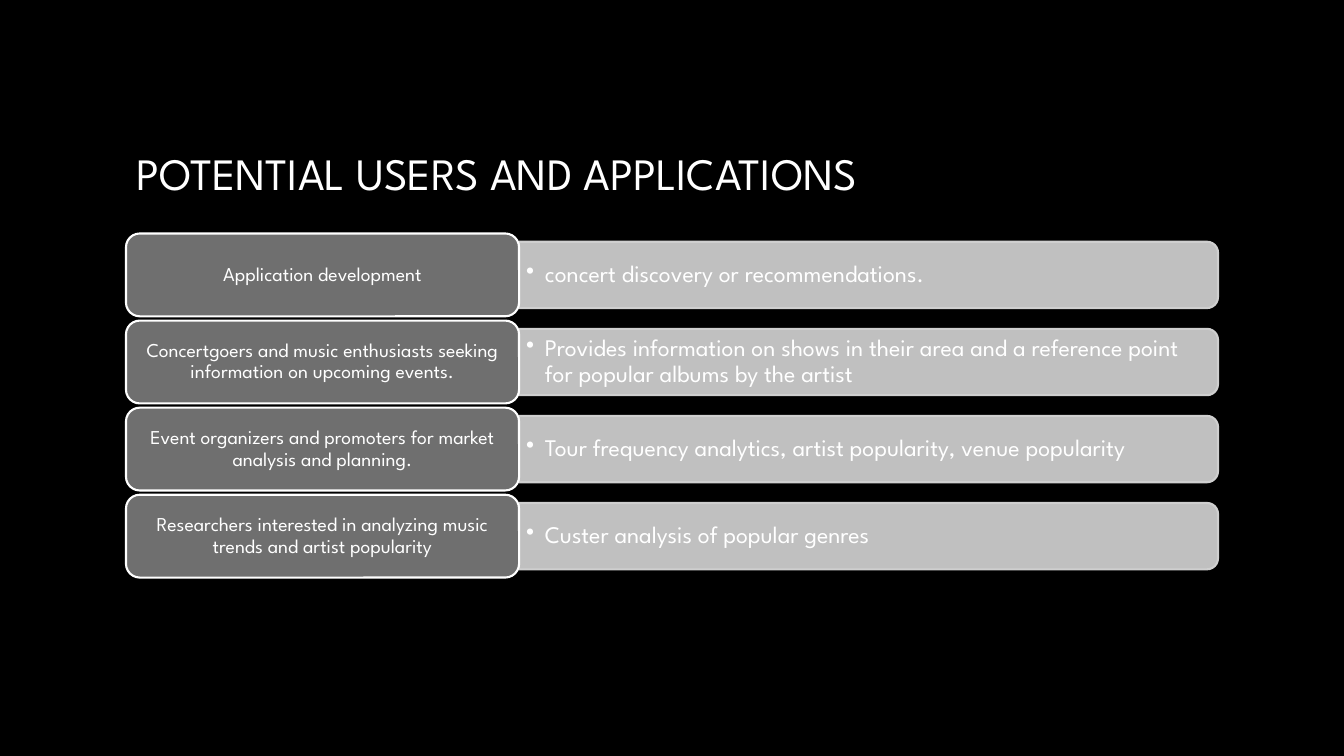
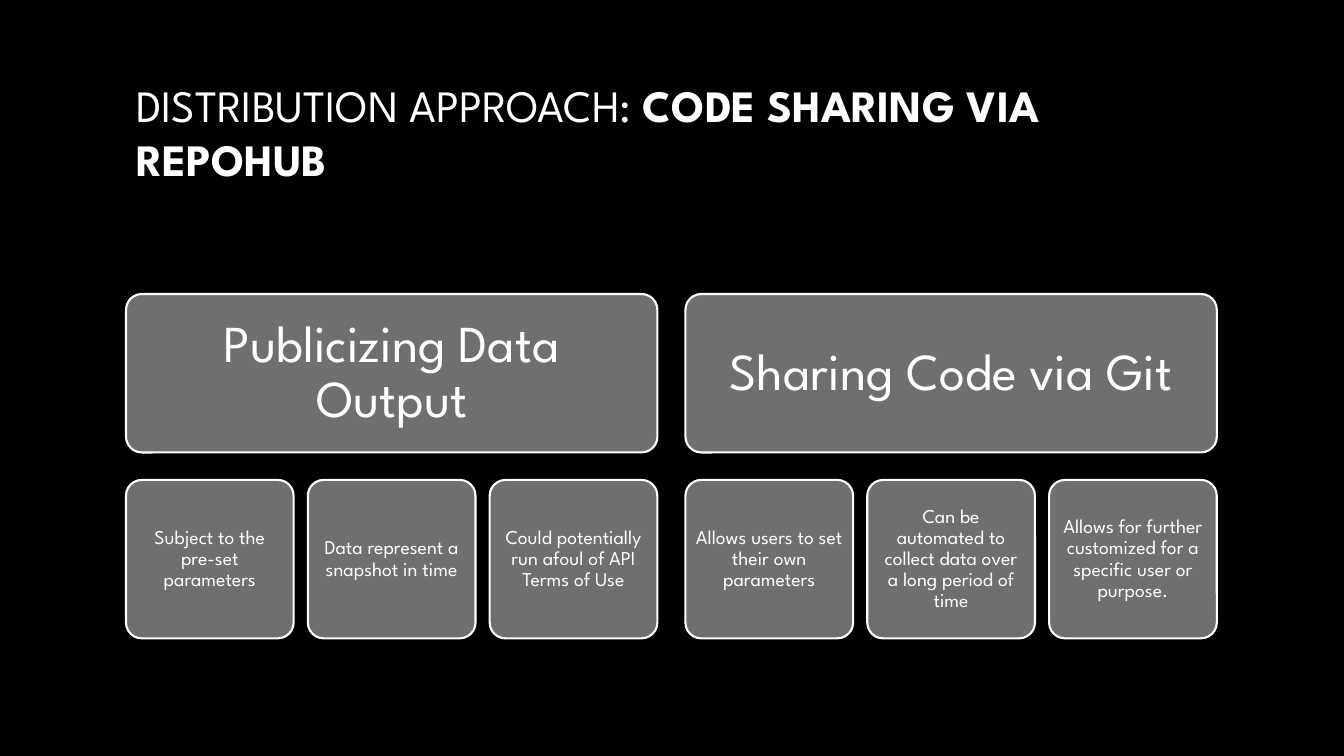
import pptx
import pptx.util
import pptx.dml.color
import pptx.enum.shapes
import pptx.enum.text
import pptx.oxml.ns
import lxml.etree

Pt = pptx.util.Pt
MSO = pptx.enum.shapes.MSO_SHAPE
ALIGN = pptx.enum.text.PP_ALIGN
MIDDLE = pptx.enum.text.MSO_ANCHOR.MIDDLE

FONT = "League Spartan"
BLACK, WHITE, GREY, SILVER, PALE = "000000", "FFFFFF", "6F6F6F", "C0C0C0", "CFCFCF"
LEFT = 90


def paint(fmt, color):
    if hasattr(fmt, "solid"):
        fmt.solid()
        fmt = fmt.fore_color
    fmt.rgb = pptx.dml.color.RGBColor.from_string(color)


def write(sp, text, size, bold=False, align=ALIGN.CENTER, spacing=0.9, margins=None, bullet=False):
    tf = sp.text_frame
    tf.word_wrap = True
    tf.vertical_anchor = MIDDLE
    if margins:
        x, y = margins
        tf.margin_left = tf.margin_right = Pt(x)
        tf.margin_top = tf.margin_bottom = Pt(y)
    p = tf.paragraphs[0]
    p.alignment = align
    p.line_spacing = spacing
    if bullet:
        pPr = p._p.get_or_add_pPr()
        pPr.set("marL", str(Pt(13.5)))
        pPr.set("indent", str(Pt(-13.5)))
        lxml.etree.SubElement(pPr, pptx.oxml.ns.qn("a:buChar"), char="•")
    r = p.add_run()
    r.text = text
    r.font.name = FONT
    r.font.size = Pt(size)
    r.font.bold = bold
    paint(r.font.color, WHITE)


def box(s, kind, x, y, w, h, fill=GREY, line=WHITE):
    sp = s.shapes.add_shape(kind, Pt(x), Pt(y), Pt(w), Pt(h))
    sp.shadow.inherit = False
    paint(sp.fill, fill)
    paint(sp.line.fill, line)
    sp.line.width = Pt(1.5)
    return sp


prs = pptx.Presentation()
prs.slide_width, prs.slide_height = Pt(960), Pt(540)
paint(prs.slide_master.background.fill, BLACK)
layout = prs.slide_layouts[5]

titles = [
    (150, [("POTENTIAL USERS AND APPLICATIONS", False)]),
    (91.5, [("DISTRIBUTION APPROACH: ", False), ("CODE SHARING VIA REPOHUB", True)]),
]
for height, runs in titles:
    s = prs.slides.add_slide(layout)
    t = s.shapes.title
    t.left, t.top, t.width, t.height = Pt(LEFT), Pt(48), Pt(780), Pt(height)
    for text, bold in runs:
        write(t, text, 32, bold=bold, align=ALIGN.LEFT, spacing=1.0)

users, distribution = prs.slides

rows = [
    ("Application development", "concert discovery or recommendations."),
    ("Concertgoers and music enthusiasts seeking information on upcoming events.",
     "Provides information on shows in their area and a reference point for popular albums by the artist"),
    ("Event organizers and promoters for market analysis and planning.",
     "Tour frequency analytics, artist popularity, venue popularity"),
    ("Researchers interested in analyzing music trends and artist popularity",
     "Custer analysis of popular genres"),
]
label_w, label_h, row_step = 280.8, 59.2, 62.2
bar_x, bar_w, bar_h = LEFT + label_w, 499.2, 47.4
for i, (label, detail) in enumerate(rows):
    y = 166.8 + i * row_step
    mid = y + label_h / 2
    bar = box(users, MSO.ROUND_2_SAME_RECTANGLE, bar_x + (bar_w - bar_h) / 2, mid - bar_w / 2,
              bar_h, bar_w, fill=SILVER, line=PALE)
    bar.rotation = 90
    tb = users.shapes.add_textbox(Pt(bar_x), Pt(mid - 21.4), Pt(497), Pt(42.8))
    write(tb, detail, 17, align=ALIGN.LEFT, margins=(5, 2.6), bullet=True)
    sp = box(users, MSO.ROUNDED_RECTANGLE, LEFT, y, label_w, label_h)
    write(sp, label, 14, margins=(4.2, 2.1))

groups = [
    ("Publicizing Data Output",
     ["Subject to the pre-set parameters",
      "Data represent a snapshot in time",
      "Could potentially run afoul of API Terms of Use"]),
    ("Sharing Code via Git",
     ["Allows users to set their own parameters",
      "Can be automated to collect data over a long period of time",
      "Allows for further customized for a specific user or purpose."]),
]
group_w, group_step, card_w, card_h = 379.6, 399.6, 119.8, 113.2
card_step = (group_w - card_w) / 2
for i, (head, points) in enumerate(groups):
    x = LEFT + i * group_step
    cards = [(head, 37, x, 210, group_w, 11)]
    cards += [(text, 14, x + j * card_step, 342.8, card_w, 4.2) for j, text in enumerate(points)]
    for text, size, cx, cy, w, margin in cards:
        sp = box(distribution, MSO.ROUNDED_RECTANGLE, cx, cy, w, card_h)
        sp.adjustments[0] = 0.1
        write(sp, text, size, margins=(margin, margin))

prs.save("out.pptx")
